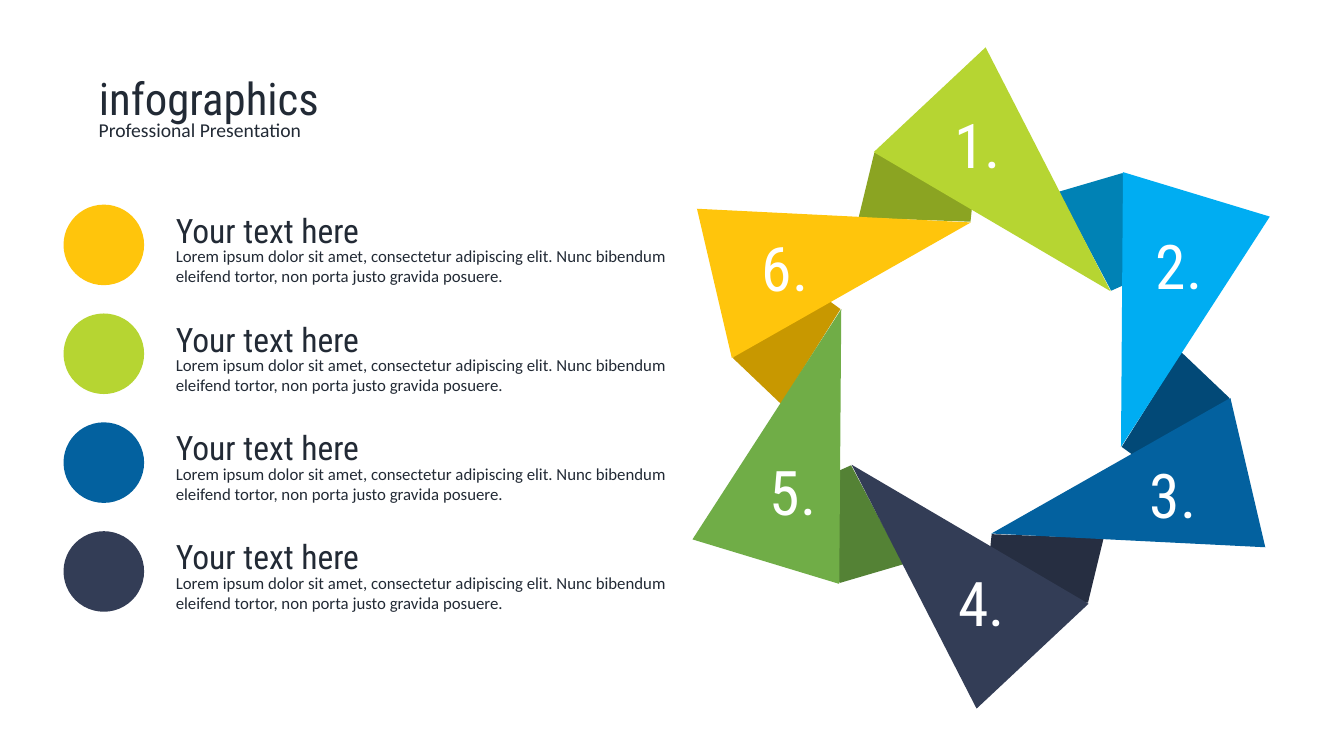
import math
import pptx
import pptx.util
import pptx.dml.color
import pptx.enum.shapes
import pptx.enum.text

RGB = pptx.dml.color.RGBColor
INK = RGB(0x22, 0x2A, 0x35)
WHITE = RGB(0xFF, 0xFF, 0xFF)
LIME, OLIVE = RGB(0xB6, 0xD5, 0x32), RGB(0x8B, 0xA4, 0x22)
SKY, TEAL = RGB(0x00, 0xAD, 0xF2), RGB(0x00, 0x82, 0xB5)
BLUE, DEEP = RGB(0x03, 0x61, 0x9F), RGB(0x02, 0x49, 0x77)
NAVY, NIGHT = RGB(0x33, 0x3D, 0x56), RGB(0x26, 0x2E, 0x41)
GREEN, MOSS = RGB(0x70, 0xAD, 0x47), RGB(0x54, 0x82, 0x35)
GOLD, OCHRE = RGB(0xFF, 0xC5, 0x0C), RGB(0xC8, 0x98, 0x00)

WIDE, HIGH = pptx.util.Inches(13.33), pptx.util.Inches(7.5)
COL, ROW = WIDE / 100, HIGH / 100

HEAD = "Roboto Condensed"
BODY = "Calibri"
TITLE = {"name": HEAD, "size": pptx.util.Pt(32)}
SUB = {"name": BODY, "size": pptx.util.Pt(14)}
LABEL = {"name": HEAD, "size": pptx.util.Pt(24)}
NOTE = {"name": BODY, "size": pptx.util.Pt(12)}
DIGIT = {"name": HEAD, "size": pptx.util.Pt(44)}
LOREM = ("Lorem ipsum dolor sit amet, consectetur adipiscing elit. "
         "Nunc bibendum eleifend tortor, non porta justo gravida posuere.")

TURN = math.pi / 3
BLADE = [(-16.14, -33.94), (0.68, -49.7), (19.47, -13.03)]
FOLD = [(-16.06, -33.79), (-0.53, -33.79), (-1.59, -23.48), (-18.41, -24.09)]
BLADES = [LIME, SKY, BLUE, NAVY, GREEN, GOLD]
FOLDS = [OLIVE, TEAL, DEEP, NIGHT, MOSS, OCHRE]
SPOTS = [(-0.23, -35.15), (30.08, -16.97), (29.17, 17.42),
         (0.38, 33.79), (-27.95, 16.97), (-29.17, -16.67)]


def grid(x, y, w, h):
    """Turn columns and rows into a box in slide units."""
    return x * COL, y * ROW, w * COL, h * ROW


def write(shape, text, style, color=INK):
    """Fill a text shape with one styled, left-aligned paragraph."""
    frame = shape.text_frame
    frame.text = text
    form = {"word_wrap": True, "auto_size": pptx.enum.text.MSO_AUTO_SIZE.NONE,
            "vertical_anchor": pptx.enum.text.MSO_ANCHOR.TOP}
    for key, value in form.items():
        setattr(frame, key, value)
    para = frame.paragraphs[0]
    para.alignment = pptx.enum.text.PP_ALIGN.LEFT
    for key, value in style.items():
        setattr(para.font, key, value)
    para.font.color.rgb = color


def label(slide, box, text, style, color=INK):
    """Add a text box."""
    write(slide.shapes.add_textbox(*map(round, box)), text, style, color)


def paint(shape, color):
    """Give a shape a plain fill with no line or shadow."""
    shape.shadow.inherit = False
    shape.fill.solid()
    shape.fill.fore_color.rgb = color
    shape.line.fill.background()


def header(slide, box):
    """Place the title and the line under it."""
    x, y, w, h = box
    title = slide.shapes.title
    spot = {"left": x, "top": y, "width": w, "height": 0.79 * h}
    for key, value in spot.items():
        setattr(title, key, round(value))
    write(title, "infographics", TITLE)
    label(slide, (x, y + 0.58 * h, w, 0.42 * h), "Professional Presentation", SUB)


def legend(slide, box):
    """Stack four dots, each with a heading and a note."""
    x, y, w, h = box
    colors = [GOLD, LIME, BLUE, NAVY]
    step = h / len(colors)
    side, gap, tall = 0.74 * step, 0.94 * step, 0.46 * step
    for i, color in enumerate(colors):
        top = y + i * step
        dot = slide.shapes.add_shape(
            pptx.enum.shapes.MSO_SHAPE.OVAL, *map(round, (x, top, side, side)))
        paint(dot, color)
        label(slide, (x + gap, top + step / 3, w - gap, tall), LOREM, NOTE)
        label(slide, (x + gap, top, w - gap, tall), "Your text here", LABEL)


def ring(slide, box):
    """Turn folds and blades around the middle of the box and number them."""
    x, y, w, h = box
    mid_x, mid_y, unit = x + w / 2, y + h / 2, h / 100
    for points, colors in ((FOLD, FOLDS), (BLADE, BLADES)):
        for i, color in enumerate(colors):
            c, s = math.cos(i * TURN), math.sin(i * TURN)
            spots = [(round(mid_x + (c * px - s * py) * unit),
                      round(mid_y + (s * px + c * py) * unit))
                     for px, py in points]
            path = slide.shapes.build_freeform(*spots[0])
            path.add_line_segments(spots[1:], close=True)
            paint(path.convert_to_shape(), color)
    wide, tall = 10.61 * unit, 12.73 * unit
    for i, (px, py) in enumerate(SPOTS, 1):
        spot = (mid_x + px * unit - wide / 2, mid_y + py * unit - tall / 2, wide, tall)
        label(slide, spot, f"{i}.", DIGIT, WHITE)


def main():
    """Build the slide and save it."""
    deck = pptx.Presentation()
    deck.slide_width, deck.slide_height = WIDE, HIGH
    slide = deck.slides.add_slide(deck.slide_layouts.get_by_name("Title Only"))
    ring(slide, grid(48.25, 6, 49.5, 88))
    legend(slide, grid(4.73, 27.07, 47.93, 57.6))
    header(slide, grid(6.6, 8.67, 86.8, 10.8))
    deck.save("out.pptx")


if __name__ == "__main__":
    main()
